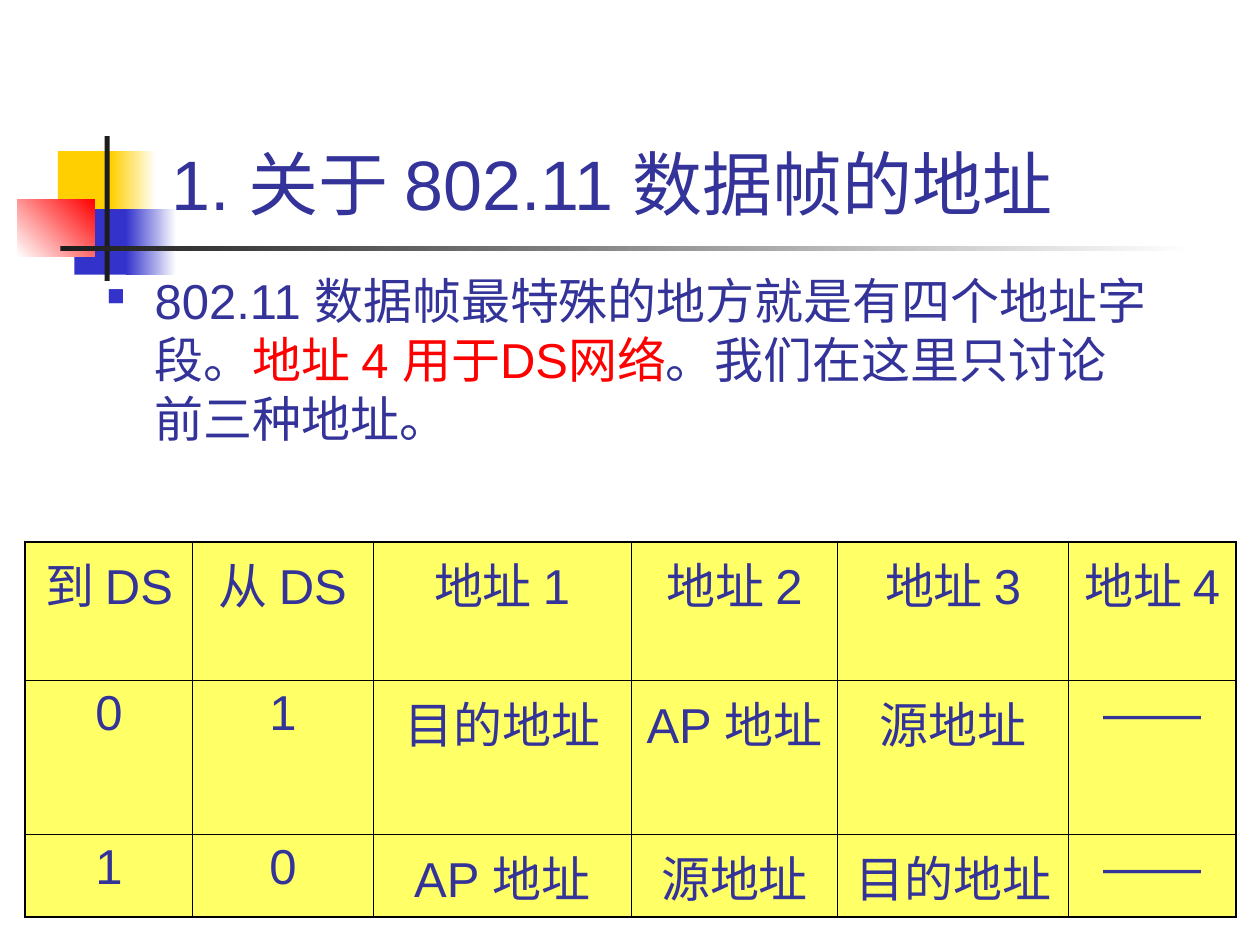
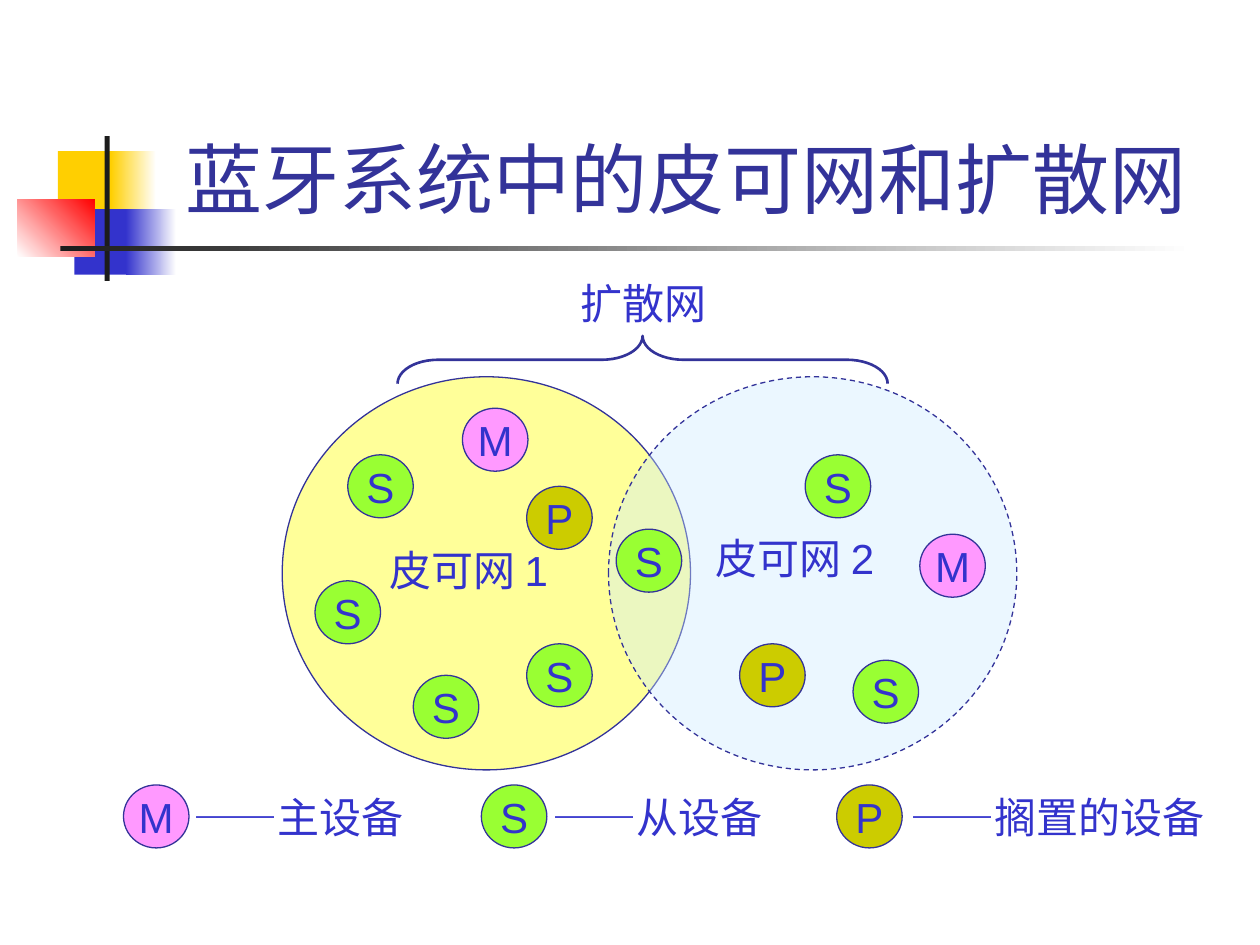
"""Two network slides: 802.11 data frame addresses and piconets."""
from lxml import etree
from pptx import Presentation
from pptx import util as u
from pptx.dml import color
from pptx.enum import dml, shapes, text
from pptx.oxml import ns

INK, BLUE, BLACK, WHITE, RED, GOLD = "333399", "3333CC", "1C1C1C", "FFFFFF", "FF0000", "FFCF01"
CENTER, LEFT = text.PP_ALIGN.CENTER, text.PP_ALIGN.LEFT
RECT, OVAL = shapes.MSO_SHAPE.RECTANGLE, shapes.MSO_SHAPE.OVAL

BANDS = [
    ((0.46, 1.2, 0.48, 0.52), (GOLD,), 0),
    ((0.88, 1.2, 0.36, 0.52), (GOLD, WHITE), 0),
    ((0.59, 1.66, 0.46, 0.52), (BLUE,), 0),
    ((1, 1.66, 0.4, 0.52), (BLUE, WHITE), 0),
    ((0.14, 1.58, 0.61, 0.46), (WHITE, RED), 45),
    ((0.83, 1.08, 0.04, 1.15), (BLACK,), 0),
    ((0.48, 1.95, 9, 0.04), (BLACK, WHITE), 0),
]

ADDRESS_TITLE = "1. 关于 802.11 数据帧的地址"
ADDRESS_NOTE = [
    ("802.11 数据帧最特殊的地方就是有四个地址字段。", {}),
    ("地址 4 用于DS网络", {"ink": RED}),
    ("。我们在这里只讨论前三种地址。", {}),
]
ADDRESS_ROWS = [
    ["到 DS", "从 DS", "地址 1", "地址 2", "地址 3", "地址 4"],
    ["0", "1", "目的地址", "AP 地址", "源地址", "——"],
    ["1", "0", "AP 地址", "源地址", "目的地址", "——"],
]
COLUMN_WIDTHS = [1.33, 1.43, 2.05, 1.64, 1.83, 1.33]
ROW_HEIGHTS = [1.1, 1.22, 0.66]

PICONET_TITLE = "蓝牙系统中的皮可网和扩散网 "
PICONETS = [(2.24, "FFFF99", None, None), (4.83, "CCECFF", 39, dml.MSO_LINE.DASH)]
DEVICE_FILLS = {"M": "FF99FF", "S": "99FF33", "P": "CCCC00"}
DEVICES = {
    "M": [(3.67, 3.24), (7.3, 4.24)],
    "S": [(2.5, 4.61), (2.76, 3.61), (4.89, 4.2), (4.18, 5.11),
          (3.28, 5.36), (6.77, 5.24), (6.39, 3.61)],
    "P": [(5.87, 5.11), (4.18, 3.86)],
}
NET_LABELS = [("皮可网 2", 5.58, 4.18, 1.54), ("扩散网", 4.51, 2.15, 1.2),
              ("皮可网 1", 2.99, 4.27, 1.54)]
LEGEND_TOP = 6.23
LEGEND = [("M", 0.98, "主设备", 1.44, 2), ("S", 3.82, "从设备", 4.29, 2),
          ("P", 6.64, "搁置的设备", 7.13, 2.6)]


def rgb(hex_color):
    return color.RGBColor.from_string(hex_color)


def inches(box):
    return [u.Inches(length) for length in box]


def write(frame, content, size=24, ink=BLUE, font="Arial", align=LEFT, anchor=None,
          wrap=False, bullet=None):
    if anchor is not None:
        frame.vertical_anchor = anchor
    frame.word_wrap = wrap
    paragraph = frame.paragraphs[0]
    paragraph.alignment = align
    if bullet:
        add_bullet(paragraph, *bullet)
    runs = [(content, {})] if isinstance(content, str) else content
    for words, change in runs:
        run = paragraph.add_run()
        run.text = words
        run.font.size = u.Pt(size)
        run.font.name = change.get("font", font)
        run.font.color.rgb = rgb(change.get("ink", ink))


def add_bullet(paragraph, mark, ink, percent, indent):
    props = paragraph._p.get_or_add_pPr()
    props.set("marL", str(u.Inches(indent)))
    props.set("indent", str(-u.Inches(indent)))
    tint = etree.SubElement(props, ns.qn("a:buClr"))
    etree.SubElement(tint, ns.qn("a:srgbClr"), val=ink)
    etree.SubElement(props, ns.qn("a:buSzPct"), val=str(percent * 1000))
    etree.SubElement(props, ns.qn("a:buChar"), char=mark)


def add_text(slide, box, content, **style):
    write(slide.shapes.add_textbox(*inches(box)).text_frame, content, **style)


def add_figure(slide, kind, box, fills=(), angle=0, alpha=None, line=None, width=0.75, dash=None):
    figure = slide.shapes.add_shape(kind, *inches(box))
    figure.shadow.inherit = False
    if len(fills) == 2:
        figure.fill.gradient()
        figure.fill.gradient_angle = angle
        for stop, fill in zip(figure.fill.gradient_stops, fills):
            stop.color.rgb = rgb(fill)
    elif fills:
        figure.fill.solid()
        figure.fill.fore_color.rgb = rgb(fills[0])
        if alpha:
            tint = figure._element.spPr.find(ns.qn("a:solidFill"))[0]
            etree.SubElement(tint, ns.qn("a:alpha"), val=str(alpha * 1000))
    else:
        figure.fill.background()
    if line:
        figure.line.color.rgb = rgb(line)
        figure.line.width = u.Pt(width)
        if dash:
            figure.line.dash_style = dash
    else:
        figure.line.fill.background()
    return figure


def start_slide(deck, title, size, align):
    slide = deck.slides.add_slide(deck.slide_layouts[6])
    for box, fills, angle in BANDS:
        add_figure(slide, RECT, box, fills, angle)
    add_text(slide, (1.26, 0.23, 8.52, 1.6), title, size=size, ink=INK, align=align,
             anchor=text.MSO_ANCHOR.BOTTOM, wrap=True)
    return slide


def set_borders(cell, outer_sides):
    props = cell._tc.get_or_add_tcPr()
    for position, side in enumerate("LRTB"):
        width = 1.08 if side in outer_sides else 0.45
        edge = etree.Element(ns.qn(f"a:ln{side}"), w=str(u.Pt(width)))
        fill = etree.SubElement(edge, ns.qn("a:solidFill"))
        etree.SubElement(fill, ns.qn("a:srgbClr"), val="000000")
        props.insert(position, edge)


def add_address_table(slide):
    box = (0.2, 4.3, sum(COLUMN_WIDTHS), sum(ROW_HEIGHTS))
    last_row, last_column = len(ROW_HEIGHTS) - 1, len(COLUMN_WIDTHS) - 1
    grid = slide.shapes.add_table(last_row + 1, last_column + 1, *inches(box)).table
    grid.first_row = grid.horz_banding = False
    for column, width in zip(grid.columns, COLUMN_WIDTHS):
        column.width = u.Inches(width)
    for r, (height, entries) in enumerate(zip(ROW_HEIGHTS, ADDRESS_ROWS)):
        grid.rows[r].height = u.Inches(height)
        for c, entry in enumerate(entries):
            cell = grid.cell(r, c)
            cell.fill.solid()
            cell.fill.fore_color.rgb = rgb("FFFF66")
            edges = {"L": c == 0, "R": c == last_column, "T": r == 0, "B": r == last_row}
            set_borders(cell, [side for side, outer in edges.items() if outer])
            write(cell.text_frame, entry, size=28, ink=INK, align=CENTER, wrap=True)


def add_device(slide, role, left, top):
    device = add_figure(slide, OVAL, (left, top, 0.52, 0.5), (DEVICE_FILLS[role],), line=INK)
    write(device.text_frame, role, align=CENTER, anchor=text.MSO_ANCHOR.MIDDLE)


def build_address_slide(deck):
    slide = start_slide(deck, ADDRESS_TITLE, 40, LEFT)
    add_text(slide, (0.75, 2.1, 8.5, 1.57), ADDRESS_NOTE, size=28, ink=INK, wrap=True,
             bullet=("■", BLUE, 50, 0.38))
    add_address_table(slide)


def build_piconet_slide(deck):
    slide = start_slide(deck, PICONET_TITLE, 44, CENTER)
    for left, fill, alpha, dash in PICONETS:
        add_figure(slide, OVAL, (left, 2.99, 3.24, 3.12), (fill,), alpha=alpha, line=INK, dash=dash)
    for role, places in DEVICES.items():
        for left, top in places:
            add_device(slide, role, left, top)
    for label, left, top, width in NET_LABELS:
        add_text(slide, (left, top, width, 0.5), label)
    brace = add_figure(slide, shapes.MSO_SHAPE.RIGHT_BRACE, (4.91, 0.91, 0.38, 3.89),
                       line=INK, width=1.5)
    brace.rotation = 270
    brace.adjustments[0] = 0.85
    for role, left, meaning, label_left, width in LEGEND:
        add_device(slide, role, left, LEGEND_TOP)
        add_text(slide, (label_left, LEGEND_TOP, width, 0.5),
                 [("——", {}), (meaning, {"font": "Roboto"})], wrap=True)


def main():
    deck = Presentation()
    deck.slide_width, deck.slide_height = inches((10, 7.5))
    build_address_slide(deck)
    build_piconet_slide(deck)
    deck.save("out.pptx")


if __name__ == "__main__":
    main()
